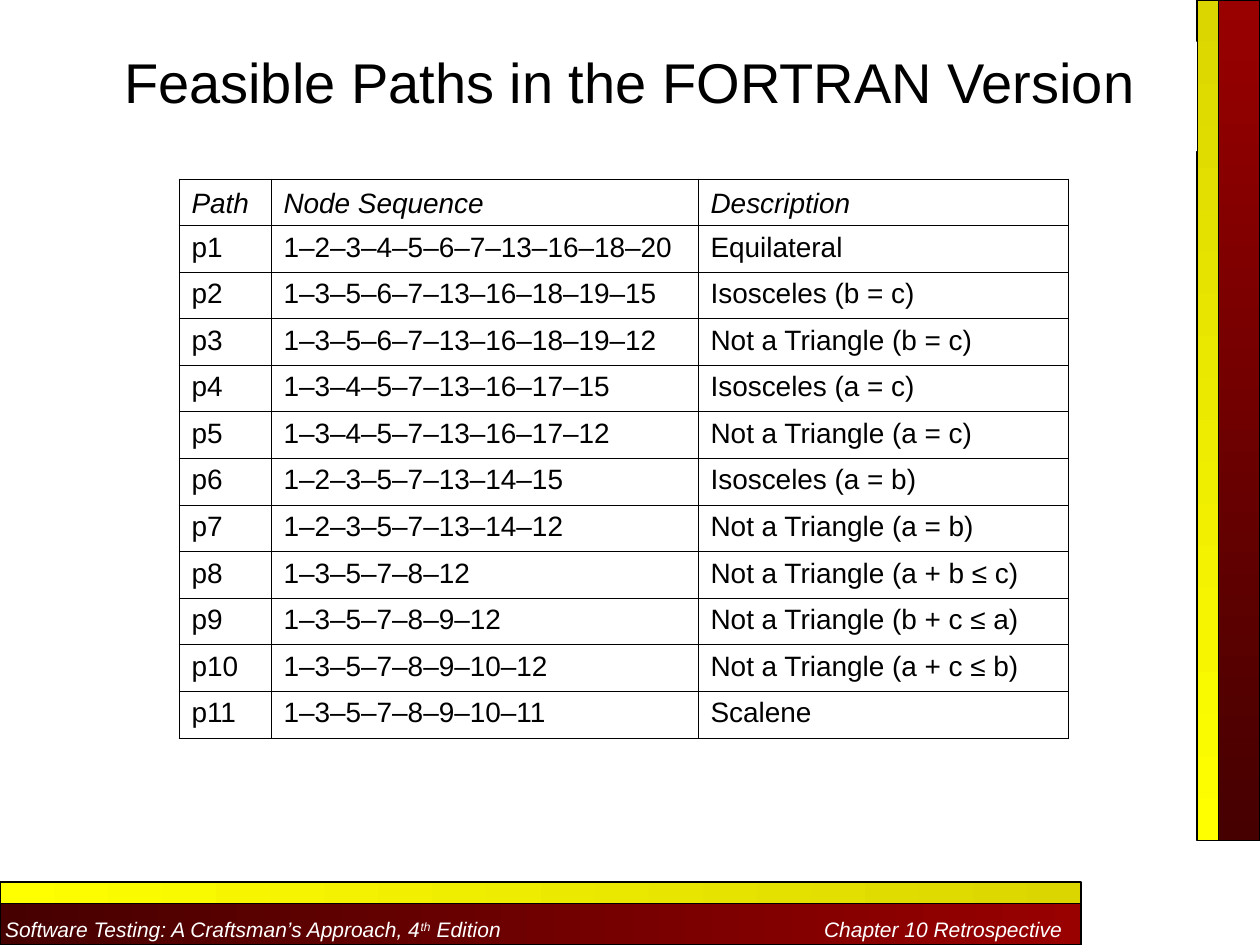
from lxml.etree import SubElement
from pptx import Presentation
from pptx.dml.color import RGBColor
from pptx.enum.shapes import MSO_SHAPE
from pptx.enum.text import MSO_ANCHOR, PP_ALIGN
from pptx.oxml.ns import qn
from pptx.util import Inches, Pt

COLORS = {
    "black": "000000", "white": "FFFFFF",
    "red": "990000", "dark red": "460000",
    "olive": "DBD600", "yellow": "FFFF00",
}
HEADINGS = ("Path", "Node Sequence", "Description")
PATHS = [
    ("1–2–3–4–5–6–7–13–16–18–20", "Equilateral"),
    ("1–3–5–6–7–13–16–18–19–15", "Isosceles (b = c)"),
    ("1–3–5–6–7–13–16–18–19–12", "Not a Triangle (b = c)"),
    ("1–3–4–5–7–13–16–17–15", "Isosceles (a = c)"),
    ("1–3–4–5–7–13–16–17–12", "Not a Triangle (a = c)"),
    ("1–2–3–5–7–13–14–15", "Isosceles (a = b)"),
    ("1–2–3–5–7–13–14–12", "Not a Triangle (a = b)"),
    ("1–3–5–7–8–12", "Not a Triangle (a + b ≤ c)"),
    ("1–3–5–7–8–9–12", "Not a Triangle (b + c ≤ a)"),
    ("1–3–5–7–8–9–10–12", "Not a Triangle (a + c ≤ b)"),
    ("1–3–5–7–8–9–10–11", "Scalene"),
]
COLUMN_WIDTHS = (0.73, 3.39, 2.94)
ROW_HEIGHT = 0.37


def set_font(span, size, color, italic=False):
    span.font.name = "Arial"
    span.font.size = Pt(size)
    span.font.italic = italic
    span.font.color.rgb = RGBColor.from_string(COLORS[color])


def add_bar(left, top, width, height, start, end, angle):
    """Add an outlined bar whose gradient angle runs counter-clockwise."""
    bar = page.shapes.add_shape(MSO_SHAPE.RECTANGLE, Inches(left), Inches(top),
                                Inches(width), Inches(height))
    bar.shadow.inherit = False
    bar.fill.gradient()
    bar.fill.gradient_angle = angle
    for stop, color in zip(bar.fill.gradient_stops, (start, end)):
        stop.color.rgb = RGBColor.from_string(COLORS[color])
    bar.line.color.rgb = RGBColor.from_string(COLORS["black"])
    bar.line.width = Pt(0.75)
    return bar


deck = Presentation()
deck.slide_width, deck.slide_height = Inches(10), Inches(7.5)
page = deck.slides.add_slide(deck.slide_layouts[6])

# Bars along the right and bottom edges
add_bar(9.67, 0, 0.33, 6.67, "red", "dark red", 270)
footer = add_bar(0, 7.17, 8.58, 0.33, "dark red", "red", 0)
add_bar(9.5, 0, 0.17, 6.67, "olive", "yellow", 270)
add_bar(0, 7, 8.58, 0.17, "yellow", "olive", 0)

# Footer text: book on the left, chapter at a right-aligned tab
frame = footer.text_frame
frame.word_wrap = False
frame.vertical_anchor = MSO_ANCHOR.MIDDLE
frame.margin_left = frame.margin_right = Inches(0.04)
frame.margin_top, frame.margin_bottom = Inches(0.08), 0
para = frame.paragraphs[0]
para.alignment = PP_ALIGN.LEFT
tabs = SubElement(para._p.get_or_add_pPr(), qn("a:tabLst"))
SubElement(tabs, qn("a:tab"), pos=str(Inches(8.39)), algn="r")
for text, baseline in (("Software Testing: A Craftsman’s Approach, 4", 0), ("th", 30),
                       (" Edition\tChapter 10 Retrospective", 0)):
    span = para.add_run()
    span.text = text
    set_font(span, 12, "white", italic=True)
    if baseline:
        span.font._element.set("baseline", str(baseline * 1000))

# Table of paths
rows = [HEADINGS] + [(f"p{number}", *path) for number, path in enumerate(PATHS, 1)]
table = page.shapes.add_table(
    len(rows), len(HEADINGS), Inches(1.42), Inches(1.42),
    Inches(sum(COLUMN_WIDTHS)), Inches(ROW_HEIGHT * len(rows))).table
table.horz_banding = False
for column, width in zip(table.columns, COLUMN_WIDTHS):
    column.width = Inches(width)
for row_index, values in enumerate(rows):
    table.rows[row_index].height = Inches(ROW_HEIGHT)
    is_heading = row_index == 0
    for column_index, value in enumerate(values):
        cell = table.cell(row_index, column_index)
        cell.text_frame.text = value
        span = cell.text_frame.paragraphs[0].runs[0]
        set_font(span, 16, "black", italic=is_heading)
        span.font.bold = False
        cell.vertical_anchor = MSO_ANCHOR.BOTTOM if is_heading else MSO_ANCHOR.TOP
        properties = cell._tc.get_or_add_tcPr()
        for side in ("lnL", "lnR", "lnT", "lnB"):
            border = SubElement(properties, qn(f"a:{side}"), w=str(Pt(0.45)))
            paint = SubElement(border, qn("a:solidFill"))
            SubElement(paint, qn("a:srgbClr"), val=COLORS["black"])
        cell.fill.background()

# Title
title = page.shapes.add_textbox(Inches(0.5), Inches(0.33), Inches(9), Inches(0.87))
title.fill.solid()
title.fill.fore_color.rgb = RGBColor.from_string(COLORS["white"])
title.text_frame.word_wrap = True
title.text_frame.text = "Feasible Paths in the FORTRAN Version"
para = title.text_frame.paragraphs[0]
para.alignment = PP_ALIGN.CENTER
set_font(para.runs[0], 32, "black")

deck.save("out.pptx")
